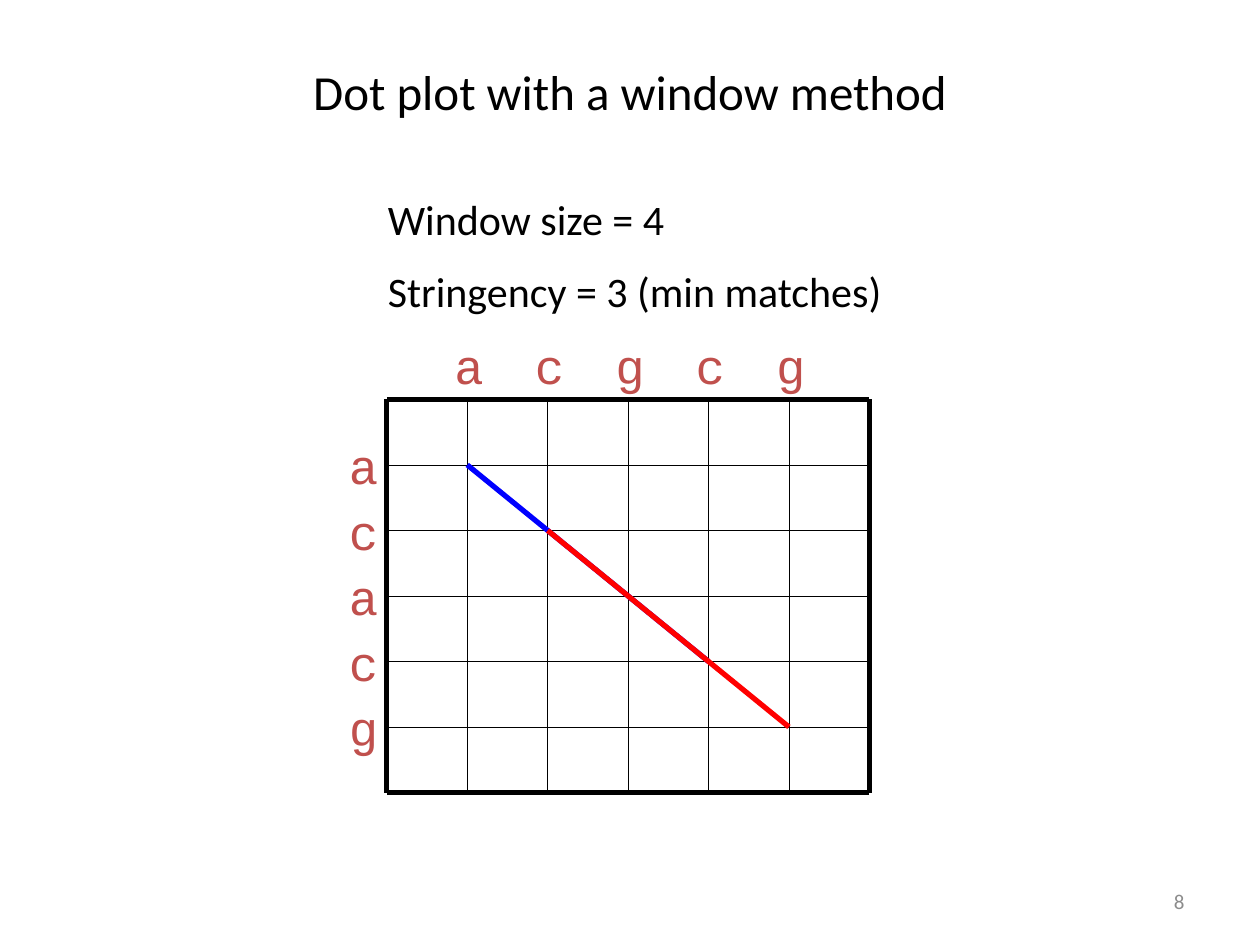
import pptx
import pptx.util
import pptx.dml.color
import pptx.enum.dml
import pptx.enum.shapes
import pptx.enum.text
import pptx.oxml.ns
import lxml.etree

Inches, Pt = pptx.util.Inches, pptx.util.Pt
ALIGN, ANCHOR = pptx.enum.text.PP_ALIGN, pptx.enum.text.MSO_ANCHOR


def add_text(box, lines, size, color="000000", font="Calibri",
             align=ALIGN.LEFT, anchor=ANCHOR.TOP, gap=0):
    sp = s.shapes.add_textbox(*[Inches(v) for v in box])
    tf = sp.text_frame
    tf.word_wrap = True
    tf.vertical_anchor = anchor
    tf.text = "\n".join(lines)
    for i, p in enumerate(tf.paragraphs):
        p.alignment = align
        if i:
            p.space_before = Pt(gap)
        f = p.runs[0].font
        f.name, f.size = font, Pt(size)
        f.color.rgb = pptx.dml.color.RGBColor.from_string(color)


def add_line(x1, y1, x2, y2, color="000000", width=3, dotted=False):
    c = s.shapes.add_connector(pptx.enum.shapes.MSO_CONNECTOR.STRAIGHT,
                               Inches(x1), Inches(y1), Inches(x2), Inches(y2))
    c.line.color.rgb = pptx.dml.color.RGBColor.from_string(color)
    c.line.width = Pt(width)
    if dotted:
        c.line.dash_style = pptx.enum.dml.MSO_LINE.ROUND_DOT
    lxml.etree.SubElement(c._element.spPr, pptx.oxml.ns.qn("a:effectLst"))


prs = pptx.Presentation()
prs.slide_width, prs.slide_height = Inches(10), Inches(7.5)
s = prs.slides.add_slide(prs.slide_layouts[6])

# Page number and title
add_text((7.17, 6.95, 2.33, 0.4), ["8"], 12, "8C8C8C",
         align=ALIGN.RIGHT, anchor=ANCHOR.MIDDLE)
add_text((0.5, 0.3, 9, 0.85), ["Dot plot with a window method"], 28,
         align=ALIGN.CENTER, anchor=ANCHOR.MIDDLE)

# Grid: six cells each way, thick frame and thin dotted inner lines
n = 6
left, top, right, bottom = 3.07, 3.17, 6.9, 6.29
xs = [left + i * (right - left) / n for i in range(n + 1)]
ys = [top + i * (bottom - top) / n for i in range(n + 1)]
for i in range(n + 1):
    inner = 0 < i < n
    width = 0.25 if inner else 3
    add_line(left, ys[i], right, ys[i], width=width, dotted=inner)
    add_line(xs[i], top, xs[i], bottom, width=width, dotted=inner)

# Sequence letters along the top and down the left side
for x, letter in zip(xs[1:], "acgcg"):
    add_text((x - 0.2, 2.61, 0.44, 0.57), [letter], 28, "C0504D", "Courier New")
for y, letter in zip(ys[1:], "acacg"):
    add_text((2.67, y - 0.28, 0.44, 0.57), [letter], 28, "C0504D", "Courier New")

# Matching windows, each spanning four letters
for start, color in [(1, "0000FF"), (2, "FF0000")]:
    end = start + 3
    add_line(xs[start], ys[start], xs[end], ys[end], color)

# Parameters
add_text((2.98, 1.49, 4.81, 1.11),
         ["Window size = 4", "Stringency = 3 (min matches)"], 24, gap=12)

prs.save("out.pptx")
